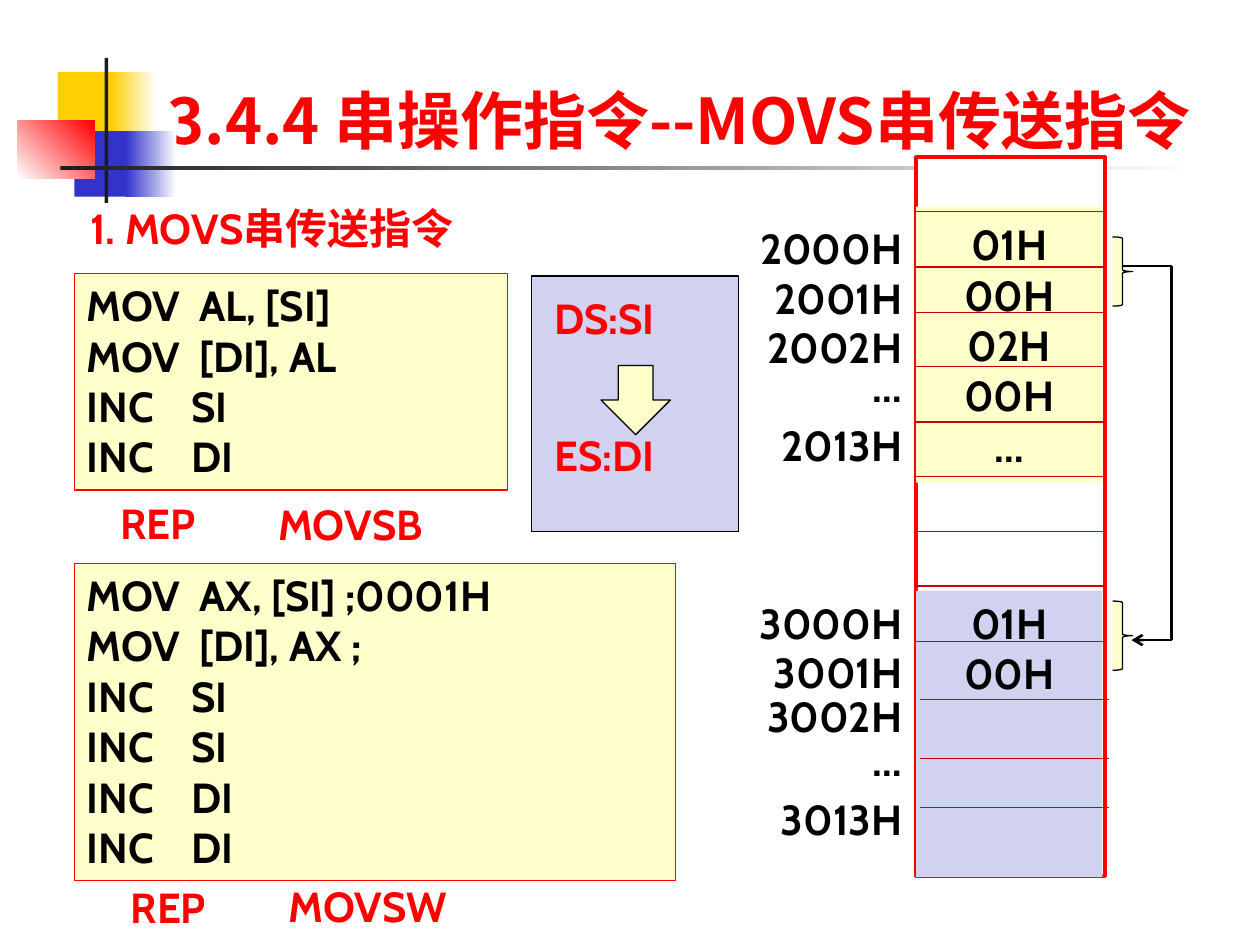
from dataclasses import dataclass

import pptx
import pptx.dml.color
import pptx.enum.shapes
import pptx.enum.text
import pptx.oxml.ns
import pptx.util
from lxml import etree

Inches = pptx.util.Inches
Pt = pptx.util.Pt
Kind = pptx.enum.shapes.MSO_SHAPE
Align = pptx.enum.text.PP_ALIGN
Anchor = pptx.enum.text.MSO_ANCHOR
qn = pptx.oxml.ns.qn

RED, BLACK, WHITE, CRIMSON = "FF0000", "000000", "FFFFFF", "CC0000"
CREAM, LILAC, GOLD, BLUE, INK = "FFFFCC", "D1D1F0", "FFCF01", "3333CC", "1C1C1C"
LATIN, HAN = "Cabin", "Noto Sans CJK JP"


@dataclass
class Box:
    x: float
    y: float
    w: float
    h: float
    fill: str
    line: str = ""
    width: float = 0.75
    fade: str = ""  # second colour of a gradient
    angle: float = 0
    kind: Kind = Kind.RECTANGLE


@dataclass
class Label:
    text: str
    x: float
    y: float
    w: float
    color: str = RED
    align: Align = Align.LEFT
    wrap: bool = False


@dataclass
class Rule:
    x1: float
    y1: float
    x2: float
    y2: float
    color: str = CRIMSON
    width: float = 0.75
    arrow: bool = False


def rgb(code: str) -> pptx.dml.color.RGBColor:
    return pptx.dml.color.RGBColor.from_string(code)


def write(frame, lines: list[str], color: str, align: Align = Align.LEFT,
          anchor: Anchor = Anchor.TOP, wrap: bool = True,
          size: int = 24, face: str = LATIN) -> None:
    """Fill a text frame with one paragraph per line."""
    frame.word_wrap = wrap
    frame.vertical_anchor = anchor
    frame.auto_size = pptx.enum.text.MSO_AUTO_SIZE.NONE
    look = {"size": Pt(size), "bold": True, "name": face}
    for i, line in enumerate(lines):
        para = frame.paragraphs[0] if i == 0 else frame.add_paragraph()
        para.alignment = align
        run = para.add_run()
        run.text = line
        for key, value in look.items():
            setattr(run.font, key, value)
        run.font.color.rgb = rgb(color)
        east = etree.SubElement(run.font._element, qn("a:ea"))
        east.set("typeface", HAN)


def draw(slide, box: Box):
    shape = slide.shapes.add_shape(
        box.kind, Inches(box.x), Inches(box.y), Inches(box.w), Inches(box.h))
    shape.shadow.inherit = False
    if box.fade:
        shape.fill.gradient()
        shape.fill.gradient_angle = box.angle
        for stop, code in zip(shape.fill.gradient_stops, (box.fill, box.fade)):
            stop.color.rgb = rgb(code)
    else:
        shape.fill.solid()
        shape.fill.fore_color.rgb = rgb(box.fill)
    if box.line:
        shape.line.color.rgb = rgb(box.line)
        shape.line.width = Pt(box.width)
    else:
        shape.line.fill.background()
    return shape


def mark(slide, label: Label) -> None:
    """Place one line of loose text."""
    area = slide.shapes.add_textbox(
        Inches(label.x), Inches(label.y), Inches(label.w), Inches(0.5))
    write(area.text_frame, [label.text], label.color, label.align, wrap=label.wrap)


def link(slide, rule: Rule) -> None:
    """Draw a straight line, with an arrowhead at its end if asked."""
    line = slide.shapes.add_connector(
        pptx.enum.shapes.MSO_CONNECTOR.STRAIGHT,
        Inches(rule.x1), Inches(rule.y1), Inches(rule.x2), Inches(rule.y2))
    line.line.color.rgb = rgb(rule.color)
    line.line.width = Pt(rule.width)
    if rule.arrow:
        etree.SubElement(line.line._get_or_add_ln(), qn("a:tailEnd")).set("type", "arrow")
    etree.SubElement(line._element.spPr, qn("a:effectLst"))


DECOR = [
    Box(0.46, 0.57, 0.48, 0.52, GOLD),
    Box(0.88, 0.57, 0.36, 0.52, GOLD, fade=WHITE),
    Box(0.59, 1.04, 0.46, 0.52, BLUE),
    Box(1, 1.04, 0.4, 0.52, BLUE, fade=WHITE),
    Box(0.14, 0.96, 0.61, 0.46, WHITE, fade=RED, angle=45),
    Box(0.83, 0.46, 0.03, 1.15, INK),
    Box(0.48, 1.32, 9, 0.03, INK, fade=WHITE),
]
MEMORY = Box(7.27, 1.25, 1.5, 5.7, WHITE, RED, 2.25)
SOURCE = Box(7.27, 1.64, 1.48, 2.19, CREAM)
TARGET = Box(7.27, 4.69, 1.48, 2.27, LILAC)
CELLS = [
    (SOURCE, ["01H", "00H", "02H", "00H", "…"], Anchor.MIDDLE),
    (TARGET, ["01H", "00H"], Anchor.TOP),
]
RULES = [Rule(7.27, y, 8.76, y)
         for y in (1.68, 2.12, 2.48, 2.91, 3.35, 3.78, 4.22, 4.65, 5.09)]
RULES += [Rule(7.3, y, 8.8, y) for y in (5.55, 6.02, 6.41)]
ROUTE = [
    Rule(8.91, 2.11, 9.3, 2.11, BLACK, 1.5),
    Rule(9.3, 2.11, 9.3, 5.08, BLACK, 1.5),
    Rule(9.3, 5.08, 8.98, 5.08, BLACK, 1.5, True),
]
ROWS = {
    1.72: "2000H", 2.11: "2001H", 2.5: "2002H", 2.81: "…", 3.28: "2013H",
    4.69: "3000H", 5.08: "3001H", 5.43: "3002H", 5.78: "…", 6.25: "3013H",
}
CODE = [
    (Box(0.59, 2.17, 3.44, 1.72, CREAM, RED),
     ["MOV  AL, [SI]", "MOV  [DI], AL", "INC    SI", "INC    DI"]),
    (Box(0.59, 4.47, 4.77, 2.52, CREAM, RED),
     ["MOV  AX, [SI] ;0001H", "MOV  [DI], AX ;"] + ["INC    SI"] * 2 + ["INC    DI"] * 2),
]
LABELS = [
    Label("REP", 0.86, 3.9, 0.87),
    Label("MOVSB", 2.11, 3.91, 1.42),
    Label("REP", 0.94, 6.95, 0.87),
    Label("MOVSW", 2.19, 6.94, 1.53),
    Label("DS:SI", 4.3, 2.27, 1.16),
    Label("ES:DI", 4.3, 3.36, 1.15),
    Label("1. MOVS串传送指令", 0.62, 1.56, 4.8, wrap=True),
]


def main() -> None:
    deck = pptx.Presentation()
    deck.slide_width, deck.slide_height = Inches(10), Inches(7.5)
    slide = deck.slides.add_slide(deck.slide_layouts[5])

    title = slide.shapes.title
    place = {"left": 1.23, "top": 0.55, "width": 8.7, "height": 0.79}
    for key, value in place.items():
        setattr(title, key, Inches(value))
    write(title.text_frame, ["3.4.4 串操作指令--MOVS串传送指令"], RED,
          anchor=Anchor.MIDDLE, wrap=False, size=36, face=HAN)

    for box in DECOR:
        draw(slide, box)
    draw(slide, Box(4.22, 2.19, 1.64, 2.03, LILAC, BLACK))
    draw(slide, MEMORY)
    for box, lines, anchor in CELLS:
        write(draw(slide, box).text_frame, lines, BLACK, Align.CENTER, anchor, False)
    for rule in RULES + ROUTE:
        link(slide, rule)
    for y, text in ROWS.items():
        mark(slide, Label(text, 5.7, y, 1.56, BLACK, Align.RIGHT, True))
    for y in (1.88, 4.77):
        brace = draw(slide, Box(8.83, y, 0.16, 0.55, CREAM, BLACK, kind=Kind.RIGHT_BRACE))
        brace.adjustments[0] = 0.08
    for box, lines in CODE:
        write(draw(slide, box).text_frame, lines, BLACK)
    for label in LABELS:
        mark(slide, label)
    draw(slide, Box(4.77, 2.9, 0.55, 0.55, CREAM, BLACK, kind=Kind.DOWN_ARROW))
    deck.save("out.pptx")


if __name__ == "__main__":
    main()
